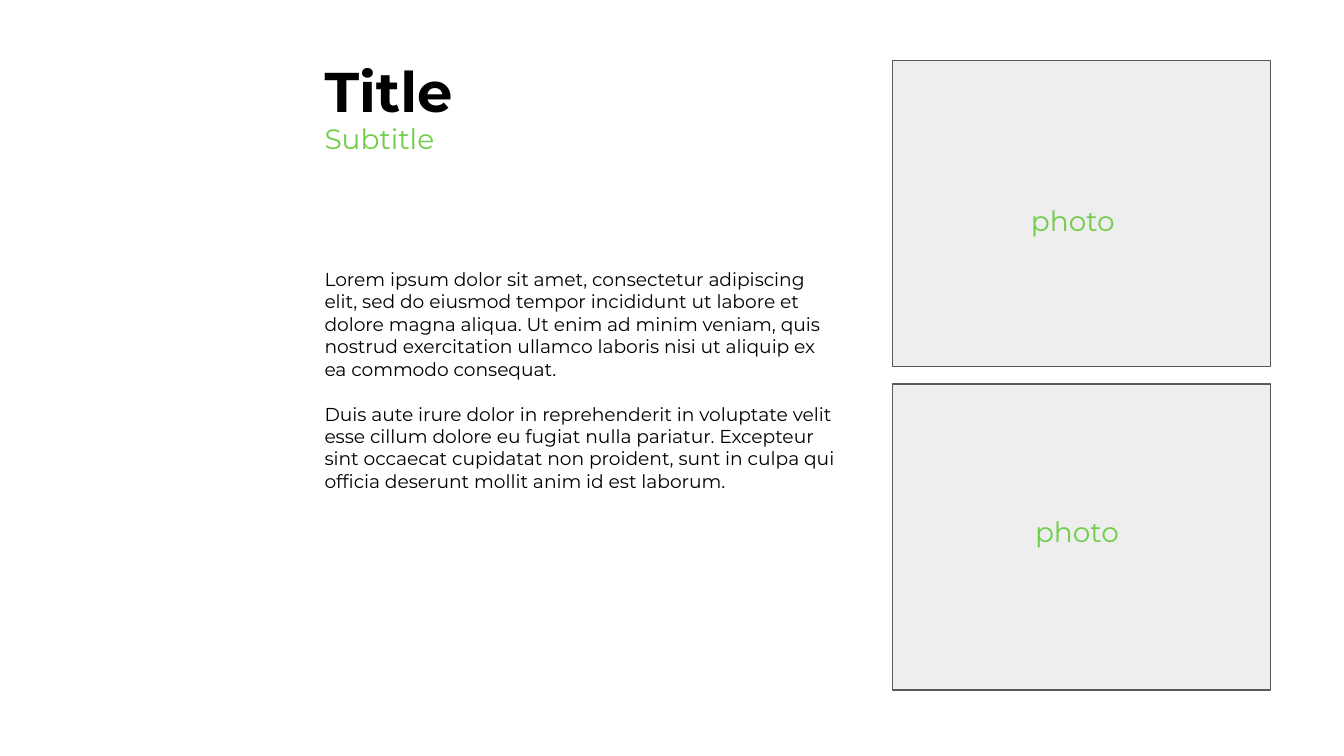
import dataclasses

import pptx
import pptx.dml.color
import pptx.enum.shapes
import pptx.enum.text
import pptx.util

Pt = pptx.util.Pt


@dataclasses.dataclass(frozen=True)
class Theme:
    font: str = "Montserrat"
    ink: str = "000000"
    accent: str = "70CD49"
    panel: str = "EEEEEE"
    edge: str = "595959"
    title: float = 30
    label: float = 15
    body: float = 10
    inset: float = 7.2
    border: float = 0.75


THEME = Theme()
LEFT = 166.8
BODY = (
    "Lorem ipsum dolor sit amet, consectetur adipiscing elit, sed do eiusmod "
    "tempor incididunt ut labore et dolore magna aliqua. Ut enim ad minim "
    "veniam, quis nostrud exercitation ullamco laboris nisi ut aliquip ex ea "
    "commodo consequat.",
    "Duis aute irure dolor in reprehenderit in voluptate velit esse cillum "
    "dolore eu fugiat nulla pariatur. Excepteur sint occaecat cupidatat non "
    "proident, sunt in culpa qui officia deserunt mollit anim id est laborum.",
)


def rgb(code):
    return pptx.dml.color.RGBColor.from_string(code)


def add_text(slide, box, lines, size, color, bold=False, gap=0):
    """Add a text box with one paragraph per line, set gap points apart."""
    frame = slide.shapes.add_textbox(*map(Pt, box)).text_frame
    frame.word_wrap = True
    frame.vertical_anchor = pptx.enum.text.MSO_ANCHOR.TOP
    frame.margin_left = frame.margin_right = Pt(THEME.inset)
    frame.margin_top = frame.margin_bottom = Pt(THEME.inset)
    for index, line in enumerate(lines):
        para = frame.add_paragraph() if index else frame.paragraphs[0]
        para.space_before = Pt(gap if index else 0)
        run = para.add_run()
        run.text = line
        run.font.name = THEME.font
        run.font.size = Pt(size)
        run.font.bold = bold
        run.font.color.rgb = rgb(color)


def add_panel(slide, box):
    kind = pptx.enum.shapes.MSO_SHAPE.RECTANGLE
    panel = slide.shapes.add_shape(kind, *map(Pt, box))
    panel.shadow.inherit = False
    panel.fill.solid()
    panel.fill.fore_color.rgb = rgb(THEME.panel)
    panel.line.color.rgb = rgb(THEME.edge)
    panel.line.width = Pt(THEME.border)


def main():
    deck = pptx.Presentation()
    deck.slide_width, deck.slide_height = Pt(720), Pt(405)
    slide = deck.slides.add_slide(deck.slide_layouts[6])

    add_text(slide, (LEFT, 23, 118.8, 41.8), ["Title"],
             THEME.title, THEME.ink, bold=True)
    add_text(slide, (LEFT, 58, 93.6, 25.2), ["Subtitle"],
             THEME.label, THEME.accent)
    add_text(slide, (LEFT, 136.3, 290.2, 132.5), BODY,
             THEME.body, THEME.ink, gap=12)

    for top in (32.4, 205.8):
        add_panel(slide, (478, top, 202.8, 164))
    for left, top in ((545.2, 102), (547.4, 268.5)):
        add_text(slide, (left, top, 62, 25.2), ["photo"],
                 THEME.label, THEME.accent)

    deck.save("out.pptx")


if __name__ == "__main__":
    main()
